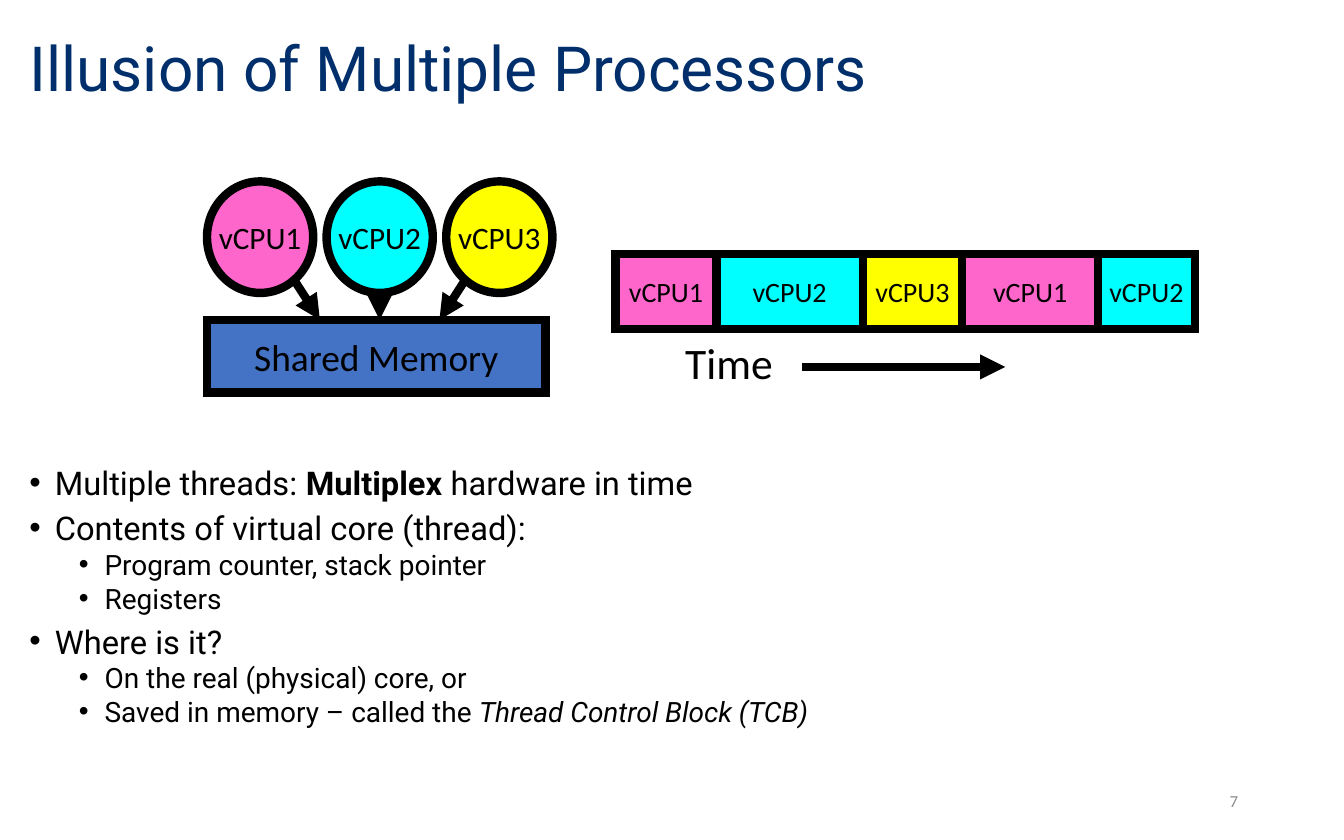
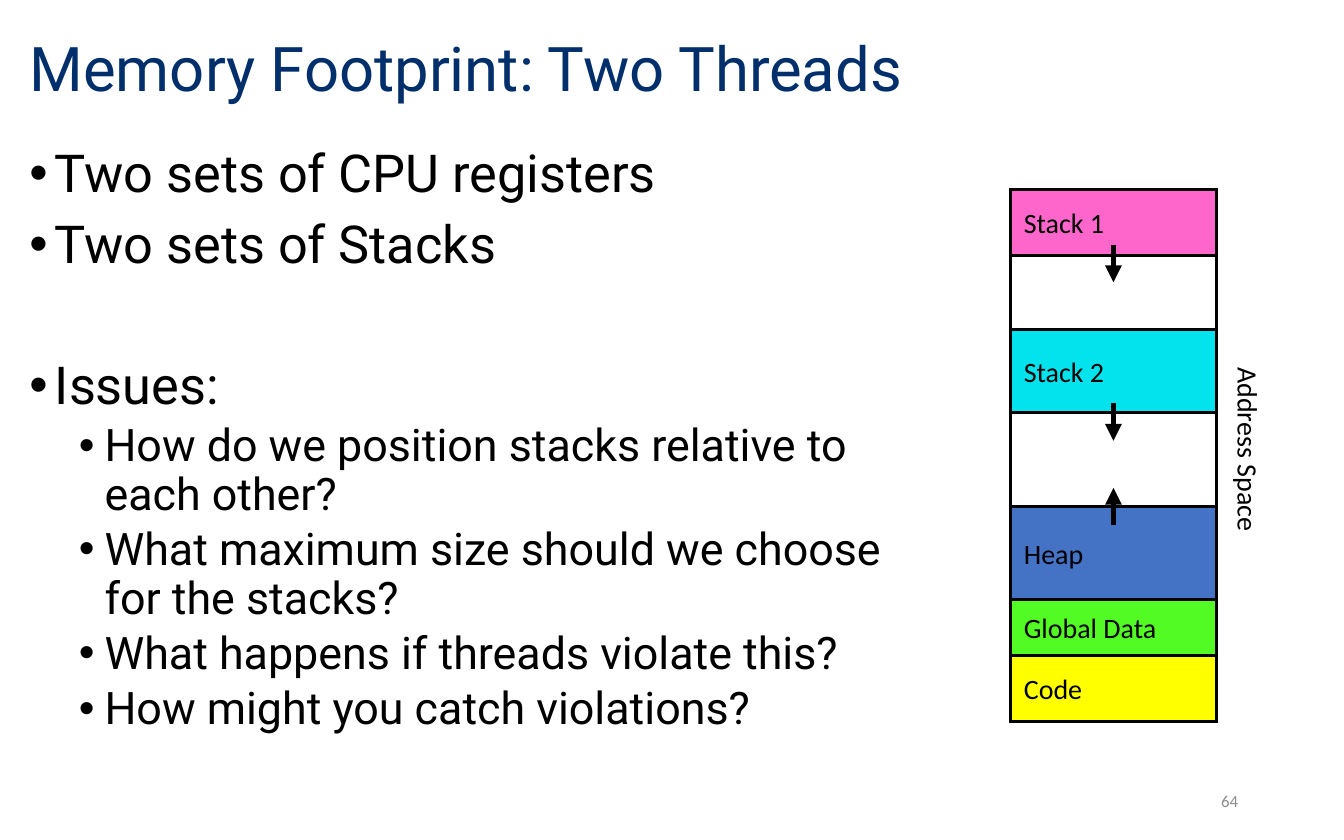
from dataclasses import dataclass
from itertools import accumulate
from typing import NamedTuple

from lxml.etree import SubElement
from pptx import Presentation
from pptx.dml.color import RGBColor
from pptx.enum.shapes import MSO_CONNECTOR, MSO_SHAPE
from pptx.enum.text import MSO_ANCHOR, MSO_AUTO_SIZE, PP_ALIGN
from pptx.oxml.ns import qn
from pptx.shapes.autoshape import Shape
from pptx.slide import Slide
from pptx.util import Emu, Inches, Pt

WIDTH, HEIGHT = Inches(10), Inches(6.25)
COL, ROW = WIDTH / 100, HEIGHT / 62.5

NAVY = RGBColor(0x00, 0x2F, 0x6C)
BLACK = RGBColor(0x00, 0x00, 0x00)
WHITE = RGBColor(0xFF, 0xFF, 0xFF)
GREY = RGBColor(0x8C, 0x8C, 0x8C)
PINK = RGBColor(0xFF, 0x66, 0xCC)
CYAN = RGBColor(0x00, 0xFF, 0xFF)
TEAL = RGBColor(0x02, 0xE3, 0xEE)
YELLOW = RGBColor(0xFF, 0xFF, 0x00)
BLUE = RGBColor(0x44, 0x72, 0xC4)
GREEN = RGBColor(0x53, 0xFB, 0x25)

HEAD_FONT, LABEL_FONT = "Roboto", "Calibri"
THICK, THIN = 4.5, 1.5


class Area(NamedTuple):
    left: float
    top: float
    width: float
    height: float

    def place(self) -> tuple[Emu, Emu, Emu, Emu]:
        return (Emu(round(self.left * COL)), Emu(round(self.top * ROW)),
                Emu(round(self.width * COL)), Emu(round(self.height * ROW)))


class Point(NamedTuple):
    x: float
    y: float


class Core(NamedTuple):
    name: str
    fill: RGBColor


class Band(NamedTuple):
    name: str
    fill: RGBColor
    size: float


@dataclass(frozen=True)
class Item:
    text: str
    level: int = 0
    accent: str = ""
    extra: float = 0


@dataclass(frozen=True)
class Style:
    sizes: tuple[float, float]
    spacing: float


TITLE = Area(1.2, 1, 85.2, 8.6)
NUMBER = Area(70.6, 57.9, 22.5, 3.3)
INDENTS = (0.19, 0.56)
HANG = 0.19
BEFORE = (7.5, 3.8)

CORES = (Core("vCPU1", PINK), Core("vCPU2", CYAN), Core("vCPU3", YELLOW))
SLOTS = ((0, 7.5), (1, 10.9), (2, 7.4), (0, 10.1), (1, 7.2))
BANDS = (
    Band("Stack 1", PINK, 4.9),
    Band("", WHITE, 5.5),
    Band("Stack 2", TEAL, 6.2),
    Band("", WHITE, 7),
    Band("Heap", BLUE, 6.9),
    Band("Global Data", GREEN, 4.2),
    Band("Code", YELLOW, 4.9),
)

THREADS = (
    Item("Multiple threads: |Multiplex |hardware in time", accent="bold"),
    Item("Contents of virtual core (thread):"),
    Item("Program counter, stack pointer", 1),
    Item("Registers", 1),
    Item("Where is it?"),
    Item("On the real (physical) core, or", 1),
    Item("Saved in memory – called the |Thread Control Block (TCB)", 1, "italic"),
)
ISSUES = (
    Item("Two sets of CPU registers"),
    Item("Two sets of Stacks"),
    Item("Issues:", extra=38),
    Item("How do we position stacks relative to\veach other?", 1),
    Item("What maximum size should we choose\vfor the stacks?", 1),
    Item("What happens if threads violate this?", 1),
    Item("How might you catch violations?", 1),
)


def write(shape: Shape, text: str, size: float, align: PP_ALIGN = PP_ALIGN.LEFT,
          font: str = LABEL_FONT, tint: RGBColor = BLACK) -> None:
    frame = shape.text_frame
    frame.text = text
    frame.vertical_anchor = MSO_ANCHOR.MIDDLE
    for par in frame.paragraphs:
        par.alignment = align
        for run in par.runs:
            run.font.name = font
            run.font.size = Pt(size)
            run.font.color.rgb = tint


def add_label(slide: Slide, area: Area, text: str, size: float,
              turn: float = 0) -> None:
    box = slide.shapes.add_textbox(*area.place())
    write(box, text, size)
    box.text_frame.vertical_anchor = MSO_ANCHOR.TOP
    box.text_frame.word_wrap = False
    box.text_frame.auto_size = MSO_AUTO_SIZE.SHAPE_TO_FIT_TEXT
    box.rotation = turn


def add_block(slide: Slide, area: Area, fill: RGBColor, line: float,
              text: str = "", size: float = 15,
              align: PP_ALIGN = PP_ALIGN.CENTER,
              kind: MSO_SHAPE = MSO_SHAPE.RECTANGLE) -> None:
    shape = slide.shapes.add_shape(kind, *area.place())
    shape.shadow.inherit = False
    shape.fill.solid()
    shape.fill.fore_color.rgb = fill
    shape.line.color.rgb = BLACK
    shape.line.width = Pt(line)
    edge = shape.element.spPr.find(qn("a:ln"))
    SubElement(edge, qn("a:miter"), lim="800000")
    if text:
        write(shape, text, size, align)
        shape.text_frame.word_wrap = False


def add_arrow(slide: Slide, start: Point, end: Point, width: float) -> None:
    ends = [Emu(round(value)) for point in (start, end)
            for value in (point.x * COL, point.y * ROW)]
    link = slide.shapes.add_connector(MSO_CONNECTOR.STRAIGHT, *ends)
    link.line.color.rgb = BLACK
    link.line.width = Pt(width)
    props = link.element.spPr
    SubElement(props.find(qn("a:ln")), qn("a:tailEnd"), type="triangle")
    SubElement(props, qn("a:effectLst"))


def add_list(slide: Slide, area: Area, items: tuple[Item, ...],
             style: Style) -> None:
    box = slide.shapes.add_textbox(*area.place())
    frame = box.text_frame
    frame.word_wrap = True
    for index, item in enumerate(items):
        par = frame.add_paragraph() if index else frame.paragraphs[0]
        par.level = item.level
        props = par._p.get_or_add_pPr()
        props.set("marL", str(Inches(INDENTS[item.level])))
        props.set("indent", str(-Inches(HANG)))
        par.line_spacing = style.spacing
        par.space_before = Pt(BEFORE[item.level] + item.extra if index else 0)
        SubElement(props, qn("a:buFont"), typeface="Arial")
        SubElement(props, qn("a:buChar"), char="•")
        first, *rest = item.text.split("|")
        par.text = first
        for part in rest:
            par.add_run().text = part
        for run in par.runs:
            run.font.name = HEAD_FONT
            run.font.size = Pt(style.sizes[item.level])
            run.font.color.rgb = BLACK
        if item.accent:
            setattr(par.runs[1].font, item.accent, True)


def add_page(deck: Presentation, title: str, size: float, number: int) -> Slide:
    slide = deck.slides.add_slide(deck.slide_layouts[5])
    head = slide.shapes.title
    head.left, head.top, head.width, head.height = TITLE.place()
    write(head, title, size, font=HEAD_FONT, tint=NAVY)
    head.text_frame.auto_size = MSO_AUTO_SIZE.NONE
    head.text_frame.paragraphs[0].line_spacing = 0.9
    foot = slide.shapes.add_textbox(*NUMBER.place())
    foot.text_frame.word_wrap = True
    write(foot, str(number), 9, PP_ALIGN.RIGHT, tint=GREY)
    return slide


def draw_cores(slide: Slide) -> None:
    for index, core in enumerate(CORES):
        area = Area(15.4 + 8.9 * index, 13.5, 7.9, 8.3)
        add_block(slide, area, core.fill, THICK, core.name, 16.7,
                  kind=MSO_SHAPE.OVAL)
    add_block(slide, Area(15.4, 23.8, 25.2, 5.4), BLUE, THICK,
              "Shared Memory", 20)
    middle = 28.25
    for start, end, top in ((-6.45, -4.45, 20.7), (6.45, 4.45, 20.7), (0, 0, 21.8)):
        add_arrow(slide, Point(middle + start, top),
                  Point(middle + end, 23.8), THICK)


def draw_time(slide: Slide) -> None:
    lefts = accumulate((width for _, width in SLOTS), initial=45.8)
    for left, (index, width) in zip(lefts, SLOTS):
        core = CORES[index]
        add_block(slide, Area(left, 18.9, width, 5.6), core.fill, THICK, core.name)
    add_label(slide, Area(50, 24.5, 9.7, 4.9), "Time", 23.3)
    add_arrow(slide, Point(59.7, 27.3), Point(74.8, 27.3), THICK)


def draw_space(slide: Slide) -> None:
    left, top, width = 75.2, 14.1, 15.3
    total = sum(band.size for band in BANDS)
    add_block(slide, Area(left, top, width, total), WHITE, THIN)
    tops = accumulate((band.size for band in BANDS), initial=top)
    for start, band in zip(tops, BANDS):
        if band.name:
            add_block(slide, Area(left, start, width, band.size), band.fill,
                      THIN, band.name, align=PP_ALIGN.LEFT)
    middle = left + width / 2
    for start, end in ((18.2, 21), (30, 32.8), (39.1, 36.3)):
        add_arrow(slide, Point(middle, start), Point(middle, end), 3)
    add_label(slide, Area(85.7, 31.8, 14.4, 3.5), "Address Space", 15, 90)


def main() -> None:
    deck = Presentation()
    deck.slide_width, deck.slide_height = WIDTH, HEIGHT

    slide = add_page(deck, "Illusion of Multiple Processors", 33.3, 7)
    add_list(slide, Area(1.2, 34.5, 97.7, 21.8), THREADS, Style((17.5, 15), 0.8))
    draw_cores(slide)
    draw_time(slide)

    slide = add_page(deck, "Memory Footprint: Two Threads", 33, 64)
    add_list(slide, Area(1.2, 10.5, 97.7, 45.8), ISSUES, Style((28, 24), 0.9))
    draw_space(slide)

    deck.save("out.pptx")


if __name__ == "__main__":
    main()
